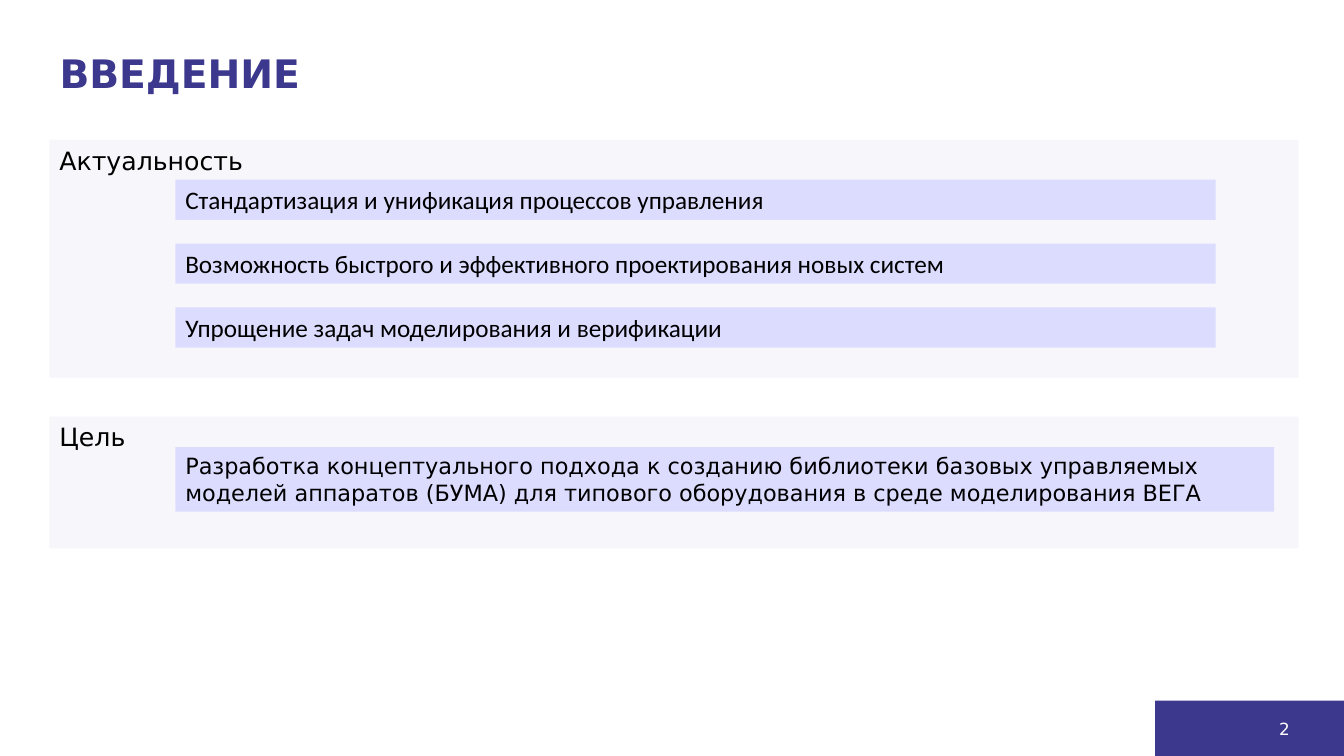
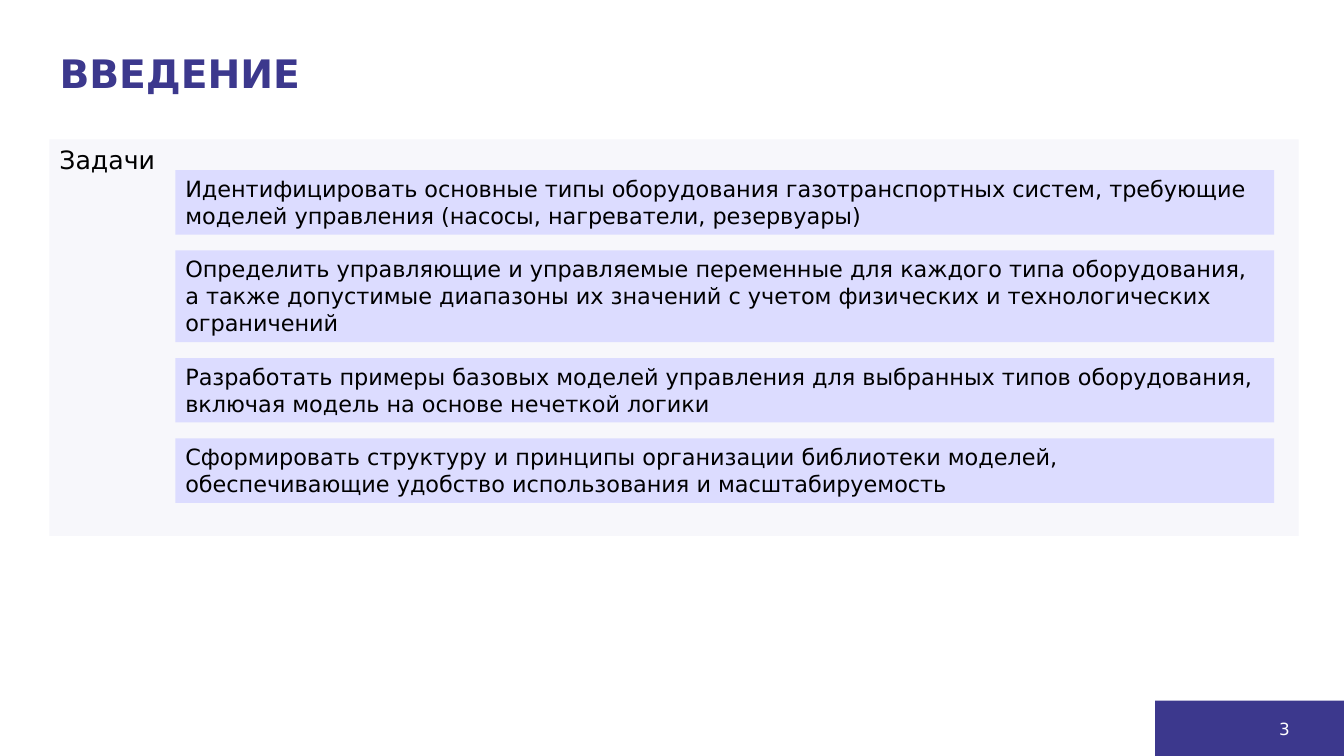
from pptx import Presentation
from pptx import util as u
from pptx.dml.color import RGBColor
from pptx.enum import shapes, text

TITLE_ONLY = 5
ACCENT, PANEL, ITEM, BLACK, WHITE = "3C388D", "F7F7FB", "DCDCFF", "000000", "FFFFFF"
SANS, BODY = "DejaVu Sans", "Calibri"

# Text formats: font, size in points, colour
TITLE = {"name": SANS, "size": 28, "bold": True, "color": ACCENT}
HEADING = {"name": SANS, "size": 18, "color": BLACK}
THESIS = {"name": BODY, "size": 18, "color": BLACK}
TASK = {"name": SANS, "size": 16, "color": BLACK}
NUMBER = {"name": SANS, "size": 12, "color": WHITE}

# Lengths are percentages of the slide's width or height
MARGIN, PANEL_WIDTH = 3.68, 92.95
ITEM_LEFT, ITEM_WIDTH, THESIS_WIDTH = 13.05, 81.75, 77.4
PADDING = 1.33
LINE_HEIGHTS = {SANS: 3.6, BODY: 4}


def color(value):
    return RGBColor.from_string(value)


class SlideBuilder:
    """Keeps the deck's style and the slide being filled."""

    def __init__(self):
        self.deck = Presentation()
        self.deck.slide_width = u.Inches(13.33)
        self.deck.slide_height = u.Inches(7.5)
        self.page = None

    def place(self, left, top, width, height):
        across, down = self.deck.slide_width, self.deck.slide_height
        return [round(share * full / 100) for share, full in
                ((left, across), (top, down), (width, across), (height, down))]

    def add_text(self, box, words, style, align=text.PP_ALIGN.LEFT,
                 anchor=text.MSO_ANCHOR.TOP):
        frame = box.text_frame
        frame.word_wrap = True
        frame.auto_size = text.MSO_AUTO_SIZE.NONE
        frame.vertical_anchor = anchor
        para = frame.paragraphs[0]
        para.alignment = align
        span = para.add_run()
        span.text = words
        for key, value in style.items():
            if key == "color":
                span.font.color.rgb = color(value)
            else:
                setattr(span.font, key, u.Pt(value) if key == "size" else value)
        return para

    def rectangle(self, left, top, width, height, fill):
        box = self.page.shapes.add_shape(
            shapes.MSO_SHAPE.RECTANGLE, *self.place(left, top, width, height))
        box.shadow.inherit = False
        box.fill.solid()
        box.fill.fore_color.rgb = color(fill)
        box.line.fill.background()
        return box

    def start(self, title, number):
        self.page = self.deck.slides.add_slide(self.deck.slide_layouts[TITLE_ONLY])
        # Title
        box = self.page.shapes.title
        box.left, box.top, box.width, box.height = self.place(MARGIN, 5, 86.25, 10)
        para = self.add_text(box, title, TITLE, anchor=text.MSO_ANCHOR.MIDDLE)
        para.line_spacing = 0.9
        # Corner band with the slide number
        self.rectangle(85.95, 92.67, 14.05, 7.33, ACCENT)
        box = self.page.shapes.add_textbox(*self.place(74.2, 93.75, 22.5, 5.33))
        self.add_text(box, str(number), NUMBER, text.PP_ALIGN.RIGHT,
                      text.MSO_ANCHOR.MIDDLE)

    def panel(self, heading, top, height):
        box = self.rectangle(MARGIN, top, PANEL_WIDTH, height, PANEL)
        self.add_text(box, heading, HEADING)

    def items(self, entries, top, style, width=ITEM_WIDTH, gap=2.1):
        """Stacks (words, line count) entries with equal gaps."""
        for words, lines in entries:
            height = lines * LINE_HEIGHTS[style["name"]] + PADDING
            box = self.rectangle(ITEM_LEFT, top, width, height, ITEM)
            self.add_text(box, words, style)
            top += height + gap


def main():
    builder = SlideBuilder()

    # Relevance and goal
    builder.start("ВВЕДЕНИЕ", 2)
    builder.panel("Актуальность", 18.5, 31.45)
    builder.items([
        ("Стандартизация и унификация процессов управления", 1),
        ("Возможность быстрого и эффективного проектирования новых систем", 1),
        ("Упрощение задач моделирования и верификации", 1),
    ], 23.75, THESIS, THESIS_WIDTH, 3.13)
    builder.panel("Цель", 55.1, 17.45)
    builder.items([
        ("Разработка концептуального подхода к созданию библиотеки базовых "
         "управляемых моделей аппаратов (БУМА) для типового оборудования "
         "в среде моделирования ВЕГА", 2),
    ], 59.15, TASK)

    # Tasks
    builder.start("ВВЕДЕНИЕ", 3)
    builder.panel("Задачи", 18.45, 52.45)
    builder.items([
        ("Идентифицировать основные типы оборудования газотранспортных систем, "
         "требующие моделей управления (насосы, нагреватели, резервуары)", 2),
        ("Определить управляющие и управляемые переменные для каждого типа "
         "оборудования, а также допустимые диапазоны их значений с учетом "
         "физических и технологических ограничений", 3),
        ("Разработать примеры базовых моделей управления для выбранных типов "
         "оборудования, включая модель на основе нечеткой логики", 2),
        ("Сформировать структуру и принципы организации библиотеки моделей, "
         "обеспечивающие удобство использования и масштабируемость", 2),
    ], 22.5, TASK)

    builder.deck.save("out.pptx")


if __name__ == "__main__":
    main()
